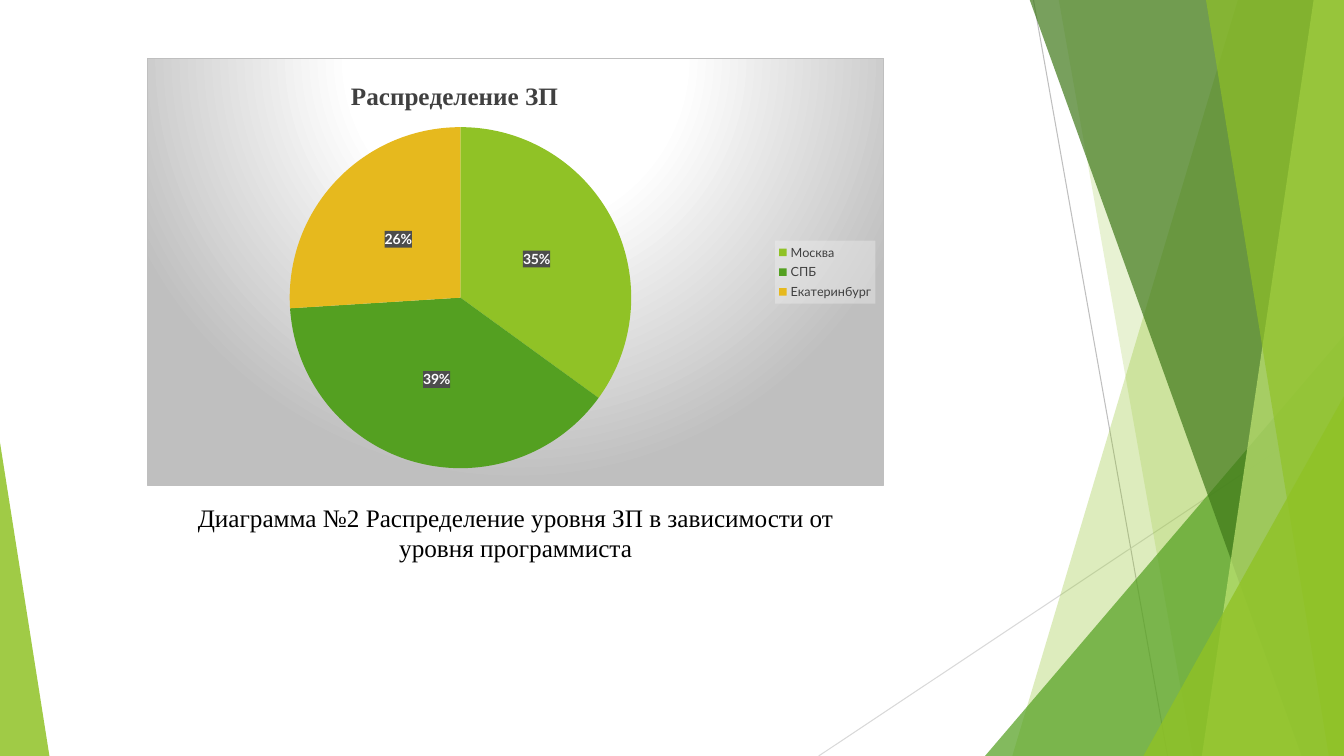
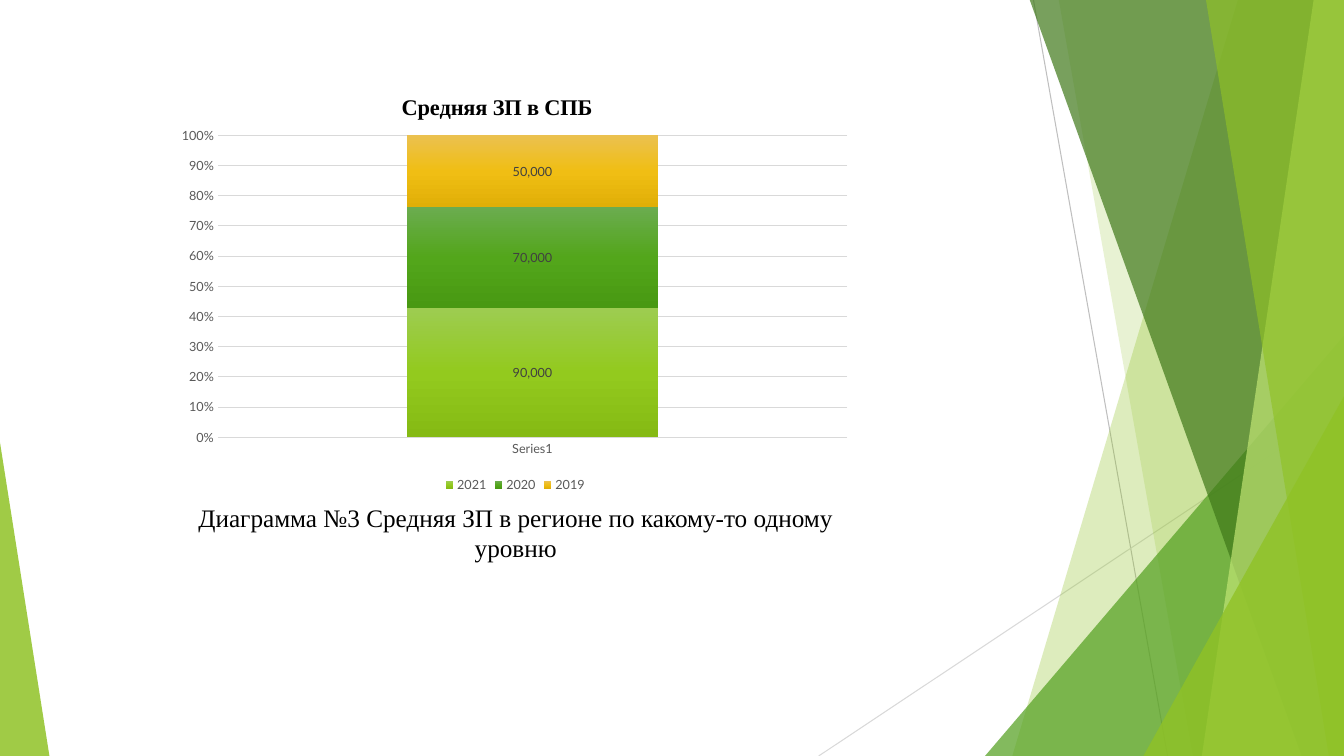
"""Build two salary chart slides on a shared backdrop of green facets."""
from lxml import etree
from pptx import Presentation
from pptx.chart.data import CategoryChartData
from pptx.dml.color import RGBColor
from pptx.enum.chart import XL_CHART_TYPE, XL_LABEL_POSITION, XL_LEGEND_POSITION, XL_TICK_MARK
from pptx.enum.shapes import MSO_CONNECTOR, MSO_SHAPE
from pptx.enum.text import MSO_ANCHOR, PP_ALIGN
from pptx.oxml import parse_xml
from pptx.oxml.ns import qn
from pptx.util import Inches, Pt

PIE, COLUMN = XL_CHART_TYPE.PIE, XL_CHART_TYPE.COLUMN_STACKED_100
CENTER_LABEL = XL_LABEL_POSITION.CENTER
RIGHT, BOTTOM = XL_LEGEND_POSITION.RIGHT, XL_LEGEND_POSITION.BOTTOM
NO_TICK = XL_TICK_MARK.NONE
STRAIGHT = MSO_CONNECTOR.STRAIGHT
TRIANGLE = MSO_SHAPE.ISOSCELES_TRIANGLE

NAMESPACES = ('xmlns:a="http://schemas.openxmlformats.org/drawingml/2006/main" '
              'xmlns:c="http://schemas.openxmlformats.org/drawingml/2006/chart"')
SERIF, SANS = "Times New Roman", "Lato"
WIDTH, HEIGHT, FACET_TOP = 13.33, 7.5, -0.01
COLORS = {
    "lime": "90C226", "green": "54A021", "gold": "E6B91E", "forest": "3F7819",
    "pale": "C0E474", "black": "000000", "white": "FFFFFF", "dark": "404040",
    "text": "595959", "silver": "BFBFBF", "grid": "D9D9D9", "label": "4D4D4D",
    "legend": "F2F2F2",
}

LINES = [((10.25, 0), (11.58, 7.5), "silver"), ((13.33, 4.03), (8.12, 7.5), "grid")]
FACETS = [
    ("slab", (12.28, 10.04), "lime", 30),
    ("slab", (10.5, 11.83), "lime", 20),
    ("triangle", (9.77, 3.56, 4.17, 1), "green", 72),
    ("slab", (10.21, 12.91), "forest", 70),
    ("slab", (13.03, 11.92), "pale", 70),
    ("slab", (11.96, 13.18), "lime", 65),
    ("triangle", (11.34, 1.99, 3.57, 1), "lime", 80),
    ("triangle", (0, 0.49, 3.11, 0), "lime", 85),
]

PIE_SLIDE = {
    "caption": "Диаграмма №2 Распределение уровня ЗП в зависимости от уровня программиста",
    "kind": PIE, "frame": (1.46, 0.58, 7.31, 4.24),
    "title": ("Распределение ЗП", 18, "dark"), "title_at": (0.27, 0.04),
    "plot": (0.19, 0.16, 0.47, 0.8), "legend": (RIGHT, "dark"),
    "categories": ["Москва", "СПБ", "Екатеринбург"],
    "series": [("Series 1", [35, 39, 26])],
}
COLUMN_SLIDE = {
    "caption": "Диаграмма №3 Средняя ЗП в регионе по какому-то одному уровню",
    "kind": COLUMN, "frame": (1.68, 0.71, 6.86, 4.22),
    "title": ("Средняя ЗП в СПБ", 16, "black"), "title_at": (0.33, 0.04),
    "plot": (0.07, 0.15, 0.91, 0.71), "legend": (BOTTOM, "text"),
    "categories": ["Series1"],
    "series": [("2021", [90000]), ("2020", [70000]), ("2019", [50000])],
}
SLICE_COLORS = ["lime", "green", "gold"]
COLUMN_GRADIENTS = [
    [(0, "9DCC51"), (50, "93CA1E"), (100, "85BA14")],
    [(0, "6BAC4F"), (50, "53A61B"), (100, "489912")],
    [(0, "EBC14F"), (50, "F0BE14"), (100, "E0AF07")],
]
PIE_BACKDROP = [(0, COLORS["white"]), (39, COLORS["white"]), (100, COLORS["silver"])]
DOWNWARD = '<a:lin ang="5400000" scaled="0"/>'
RADIAL = ('<a:path path="circle"><a:fillToRect l="50000" t="-80000" '
          'r="50000" b="180000"/></a:path>')


def rgb(name):
    return RGBColor.from_string(COLORS[name])


def style(font, size, color, face=SANS, bold=False):
    font.size, font.name, font.bold = Pt(size), face, bold
    font.color.rgb = rgb(color)


def gradient_xml(stops, direction):
    marks = "".join(f'<a:gs pos="{place * 1000}"><a:srgbClr val="{color}"/></a:gs>'
                    for place, color in stops)
    return f"<a:gradFill {NAMESPACES}><a:gsLst>{marks}</a:gsLst>{direction}</a:gradFill>"


def area_xml(fill, line="<a:ln><a:noFill/></a:ln>"):
    return parse_xml(f"<c:spPr {NAMESPACES}>{fill}{line}</c:spPr>")


def solid_xml(color, alpha):
    return (f'<a:solidFill><a:srgbClr val="{COLORS[color]}">'
            f'<a:alpha val="{alpha * 1000}"/></a:srgbClr></a:solidFill>')


def layout_xml(values, inner=False):
    names = ["x", "y", "w", "h"][:len(values)]
    target = '<c:layoutTarget val="inner"/>' if inner else ""
    modes = '<c:xMode val="edge"/><c:yMode val="edge"/>'
    sizes = "".join(f'<c:{name} val="{value}"/>' for name, value in zip(names, values))
    return parse_xml(f"<c:layout {NAMESPACES}><c:manualLayout>{target}{modes}{sizes}"
                     "</c:manualLayout></c:layout>")


def add_line(page, start, end, color):
    line = page.shapes.add_connector(STRAIGHT, *map(Inches, start + end))
    line.line.color.rgb, line.line.width = rgb(color), Pt(0.75)
    etree.SubElement(line.element.spPr, qn("a:effectLst"))


def add_facet(page, kind, geometry, color, alpha):
    if kind == "slab":
        top_x, bottom_x = geometry
        corners = [(WIDTH, FACET_TOP), (WIDTH, HEIGHT), (bottom_x, HEIGHT)]
        outline = page.shapes.build_freeform(Inches(top_x), Inches(FACET_TOP))
        outline.add_line_segments([(Inches(x), Inches(y)) for x, y in corners])
        facet = outline.convert_to_shape()
    else:
        left, width, height, apex = geometry
        facet = page.shapes.add_shape(TRIANGLE, Inches(left), Inches(HEIGHT - height),
                                      Inches(width), Inches(height))
        facet.adjustments[0] = apex
    facet.shadow.inherit = False
    facet.line.fill.background()
    facet.fill.solid()
    facet.fill.fore_color.rgb = rgb(color)
    tint = facet.element.spPr.find(qn("a:solidFill"))[0]
    etree.SubElement(tint, qn("a:alpha")).set("val", str(alpha * 1000))


def add_backdrop(layout, page):
    """Draw the facets on a page and move them to its layout."""
    for holder in list(layout.placeholders)[1:]:
        layout.shapes.element.remove(holder.element)
    for line in LINES:
        add_line(page, *line)
    for facet in FACETS:
        add_facet(page, *facet)
    for shape in list(page.shapes)[1:]:
        layout.placeholders[0].element.addprevious(shape.element)


def add_caption(page, text):
    box = page.shapes.title
    box.left, box.top, box.width, box.height = map(Inches, (1.78, 4.93, 6.67, 1.31))
    frame = box.text_frame
    frame.text, frame.word_wrap, frame.vertical_anchor = text, True, MSO_ANCHOR.TOP
    para = frame.paragraphs[0]
    para.alignment = PP_ALIGN.CENTER
    style(para.font, 18, "black", SERIF)


def add_chart(page, content):
    data = CategoryChartData(number_format="#,##0")
    data.categories = content["categories"]
    for name, values in content["series"]:
        data.add_series(name, values)
    chart = page.shapes.add_chart(content["kind"], *map(Inches, content["frame"]), data).chart
    style(chart.font, 10, "black")

    title, size, color = content["title"]
    chart.has_title = True
    chart.chart_title.include_in_layout = False
    frame = chart.chart_title.text_frame
    frame.text = title
    style(frame.paragraphs[0].font, size, color, SERIF, True)
    title_element = chart.chart_title._element
    for old in title_element.findall(qn("c:layout")):
        title_element.remove(old)
    title_element.find(qn("c:tx")).addnext(layout_xml(content["title_at"]))

    plot_area = chart._chartSpace.chart.plotArea
    for old in plot_area.findall(qn("c:layout")):
        plot_area.remove(old)
    plot_area.insert(0, layout_xml(content["plot"], inner=True))

    position, color = content["legend"]
    chart.has_legend = True
    chart.legend.position, chart.legend.include_in_layout = position, False
    style(chart.legend.font, 9, color)
    return chart


def add_labels(plot, size, color, bold):
    plot.has_data_labels = True
    labels = plot.data_labels
    labels.position = CENTER_LABEL
    labels.number_format_is_linked = False
    style(labels.font, size, color, SANS, bold)
    return labels


def format_pie(chart):
    plot = chart.plots[0]
    plot.vary_by_categories = True
    for index, color in enumerate(SLICE_COLORS):
        fill = plot.series[0].points[index].format.fill
        fill.solid()
        fill.fore_color.rgb = rgb(color)
    labels = add_labels(plot, 10, "white", True)
    labels.show_percentage, labels.show_value = True, False
    labels.number_format = "0%"
    labels._element.find(qn("c:txPr")).addprevious(area_xml(solid_xml("label", 100)))
    legend = chart.legend._element
    legend.find(qn("c:txPr")).addprevious(area_xml(solid_xml("legend", 39)))
    border = f'<a:ln w="{Pt(0.75)}">{solid_xml("silver", 100)}</a:ln>'
    backdrop = area_xml(gradient_xml(PIE_BACKDROP, RADIAL), border)
    chart._chartSpace.chart.addnext(backdrop)


def format_columns(chart):
    plot = chart.plots[0]
    plot.vary_by_categories = False
    plot.gap_width, plot.overlap = 150, 100
    for series, stops in zip(plot.series, COLUMN_GRADIENTS):
        series.format.line.fill.background()
        properties = series._element.find(qn("c:spPr"))
        properties.insert(0, parse_xml(gradient_xml(stops, DOWNWARD)))
    labels = add_labels(plot, 9, "dark", False)
    labels.show_value, labels.number_format = True, "#,##0"
    for axis in (chart.category_axis, chart.value_axis):
        axis.major_tick_mark = axis.minor_tick_mark = NO_TICK
        style(axis.tick_labels.font, 9, "text")
    category_line = chart.category_axis.format.line
    category_line.color.rgb, category_line.width = rgb("grid"), Pt(1)
    values = chart.value_axis
    values.format.line.fill.background()
    values.minimum_scale, values.maximum_scale, values.major_unit = 0, 1, 0.1
    values.tick_labels.number_format = "0%"
    values.tick_labels.number_format_is_linked = False
    values.has_major_gridlines = True
    grid = values.major_gridlines.format.line
    grid.color.rgb, grid.width = rgb("grid"), Pt(0.75)


deck = Presentation()
deck.slide_width, deck.slide_height = Inches(WIDTH), Inches(HEIGHT)
title_only = deck.slide_layouts[5]
pages = [deck.slides.add_slide(title_only) for _ in range(2)]
add_backdrop(title_only, pages[0])
slides = [(PIE_SLIDE, format_pie), (COLUMN_SLIDE, format_columns)]
for page, (content, format_chart) in zip(pages, slides):
    add_caption(page, content["caption"])
    format_chart(add_chart(page, content))
deck.save("out.pptx")
